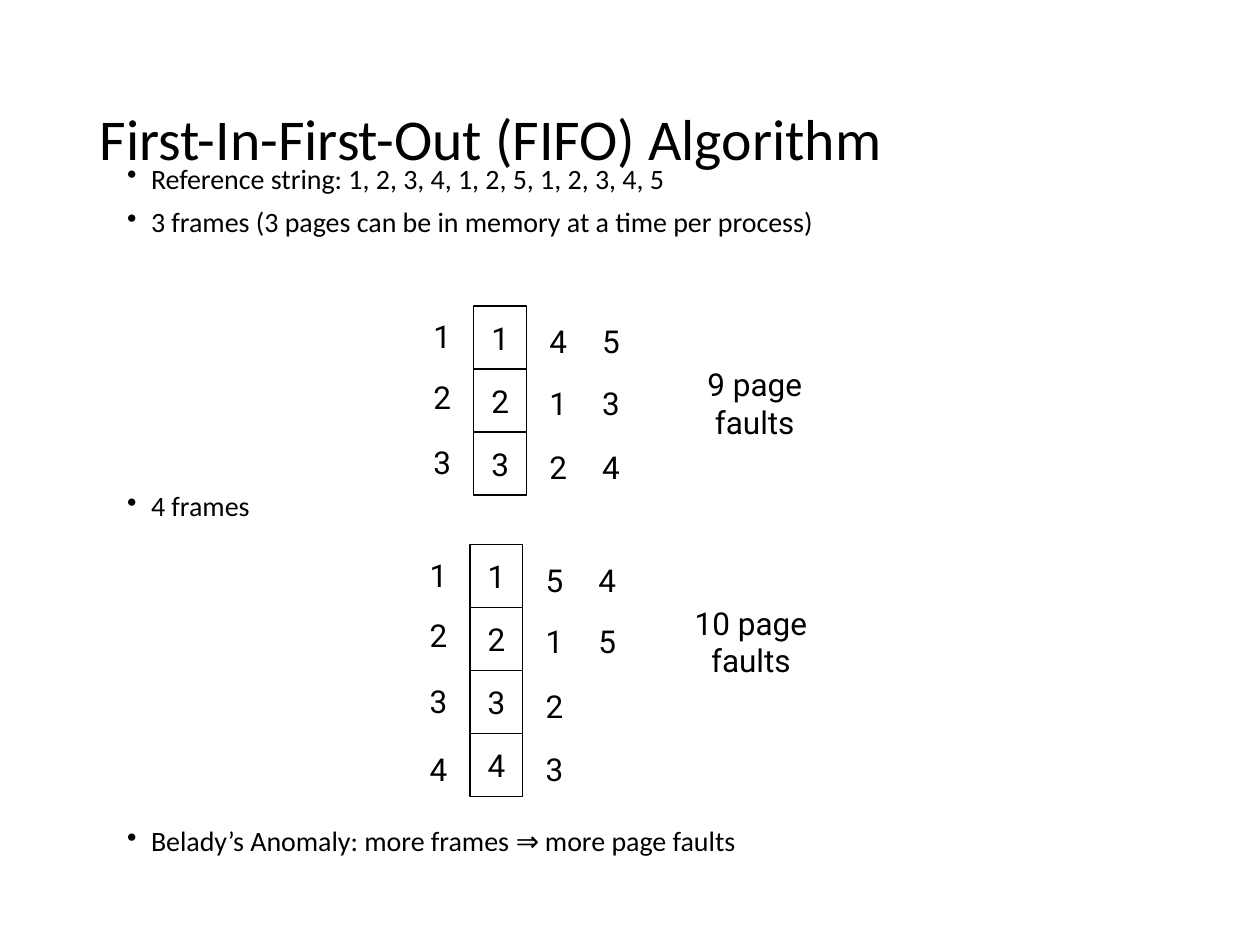
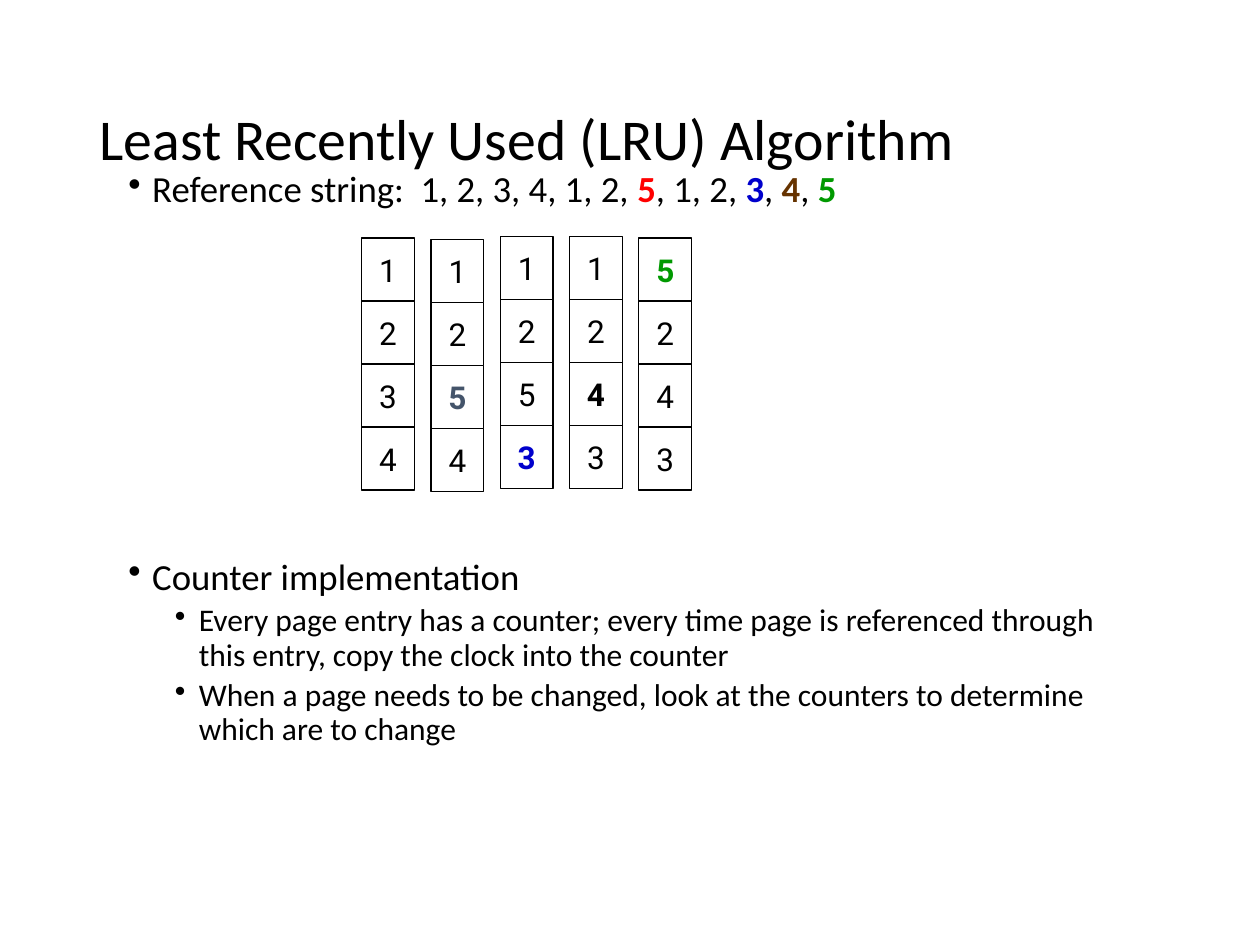
from dataclasses import dataclass

from lxml import etree
from pptx import Presentation
from pptx.dml.color import RGBColor
from pptx.enum.shapes import MSO_SHAPE
from pptx.enum.text import MSO_ANCHOR, PP_ALIGN
from pptx.oxml.ns import qn
from pptx.util import Inches, Pt

RECTANGLE = MSO_SHAPE.RECTANGLE
MIDDLE, TOP = MSO_ANCHOR.MIDDLE, MSO_ANCHOR.TOP
LEFT, CENTER = PP_ALIGN.LEFT, PP_ALIGN.CENTER


@dataclass(frozen=True)
class Theme:
    text_font: str = "Calibri"
    figure_font: str = "Roboto"
    black: str = "000000"
    white: str = "FFFFFF"
    red: str = "FF0000"
    blue: str = "0000CC"
    brown: str = "663300"
    green: str = "009900"
    slate: str = "44546A"
    title_size: float = 33
    large_size: float = 21
    medium_size: float = 18
    small_size: float = 16
    line_spacing: float = 0.9


THEME = Theme()

# ---- Content: a tuple (text, colour) is a bold span ----
# Bullets: level, size, space before in points, spans
FIFO_TITLE = "First-In-First-Out (FIFO) Algorithm"
FIFO_BULLETS = [
    (0, THEME.small_size, 0, ["Reference string: 1, 2, 3, 4, 1, 2, 5, 1, 2, 3, 4, 5"]),
    (0, THEME.small_size, 7.5, ["3 frames (3 pages can be in memory at a time per process)"]),
    (0, THEME.small_size, 145.3, ["4 frames"]),
    (0, THEME.small_size, 173.8, ["Belady’s Anomaly: more frames ⇒ more page faults"]),
]
FIFO_FIGURES = [
    {"at": (3.76, 2.43), "frames": "123", "later": ["412", "534"],
     "result": "9 page faults", "result_width": 1.63},
    {"at": (3.73, 4.32), "frames": "1234", "later": ["5123", "45"],
     "result": "10 page faults", "result_width": 1.77},
]

LRU_TITLE = "Least Recently Used (LRU) Algorithm"
LRU_BULLETS = [
    (0, THEME.large_size, 0, [
        "Reference string:  1, 2, 3, 4, 1, 2, ", ("5", THEME.red), ", 1, 2, ",
        ("3", THEME.blue), ", ", ("4", THEME.brown), ", ", ("5", THEME.green)]),
    (0, THEME.large_size, 198.6, ["Counter implementation"]),
    (1, THEME.medium_size, 3.8, [
        "Every page entry has a counter; every time page is referenced through "
        "this entry, copy the clock into the counter"]),
    (1, THEME.medium_size, 3.8, [
        "When a page needs to be changed, look at the counters to determine "
        "which are to change"]),
]
# Top of each column and its frames
LRU_COLUMNS = [
    (1.89, ["1", "2", "3", "4"]),
    (1.90, ["1", "2", ("5", THEME.slate), "4"]),
    (1.88, ["1", "2", "5", ("3", THEME.blue)]),
    (1.88, ["1", "2", ("4", THEME.black), "3"]),
    (1.89, [("5", THEME.green), "2", "4", "3"]),
]

# ---- Geometry in inches ----
CELL_WIDTH, CELL_HEIGHT = 0.42, 0.5
LABEL_WIDTH, LABEL_HEIGHT = 0.34, 0.4
BEFORE_OFFSETS = [0.04, 0.52, 1.04, 1.58]
AFTER_OFFSETS = [0.08, 0.57, 1.08, 1.58]
BEFORE_SHIFT, AFTER_SHIFT = -0.42, 0.5
RESULT_CENTER = 2.23
LRU_LEFT, LRU_PITCH = 2.87, 0.55
BULLET_INDENTS = [0.19, 0.56]
HANGING = 0.19


# ---- Text helpers ----
def write_spans(para, spans, font, size):
    for content in spans:
        text, color = content if isinstance(content, tuple) else (content, THEME.black)
        span = para.add_run()
        span.text = text
        span.font.name = font
        span.font.size = Pt(size)
        span.font.bold = isinstance(content, tuple)
        span.font.color.rgb = RGBColor.from_string(color)


def write_figure_text(shape, content):
    frame = shape.text_frame
    frame.word_wrap = False
    frame.vertical_anchor = MIDDLE
    para = frame.paragraphs[0]
    para.alignment = CENTER
    write_spans(para, [content], THEME.figure_font, THEME.medium_size)


def add_bullets(page, at, bullets):
    box = page.shapes.add_textbox(*map(Inches, at))
    frame = box.text_frame
    frame.word_wrap = True
    frame.vertical_anchor = TOP
    for index, (level, size, space, spans) in enumerate(bullets):
        para = frame.add_paragraph() if index else frame.paragraphs[0]
        properties = para._p.get_or_add_pPr()
        properties.set("marL", str(Inches(BULLET_INDENTS[level])))
        properties.set("indent", str(-Inches(HANGING)))
        etree.SubElement(properties, qn("a:buChar")).set("char", "•")
        para.level = level
        para.line_spacing = THEME.line_spacing
        para.space_before = Pt(space)
        write_spans(para, spans, THEME.text_font, size)


def add_page(deck, title):
    page = deck.slides.add_slide(deck.slide_layouts[5])
    holder = page.shapes.title
    holder.left, holder.top = Inches(0.69), Inches(0.4)
    holder.width, holder.height = Inches(8.62), Inches(1.45)
    holder.text_frame.vertical_anchor = MIDDLE
    para = holder.text_frame.paragraphs[0]
    para.alignment = LEFT
    para.line_spacing = THEME.line_spacing
    write_spans(para, [title], THEME.text_font, THEME.title_size)
    return page


# ---- Figure helpers ----
def add_frame_column(shapes, left, top, contents):
    for row, content in enumerate(contents):
        cell = shapes.add_shape(
            RECTANGLE, Inches(left), Inches(top + row * CELL_HEIGHT),
            Inches(CELL_WIDTH), Inches(CELL_HEIGHT))
        cell.shadow.inherit = False
        cell.fill.solid()
        cell.fill.fore_color.rgb = RGBColor.from_string(THEME.white)
        cell.line.color.rgb = RGBColor.from_string(THEME.black)
        cell.line.width = Pt(0.75)
        write_figure_text(cell, content)


def add_label(shapes, left, top, text, width=LABEL_WIDTH):
    label = shapes.add_textbox(
        Inches(left), Inches(top), Inches(width), Inches(LABEL_HEIGHT))
    write_figure_text(label, text)
    return label


def add_fifo_figure(page, figure):
    left, top = figure["at"]
    shapes = page.shapes.add_group_shape().shapes
    add_frame_column(shapes, left, top, figure["frames"])
    for text, offset in zip(figure["frames"], BEFORE_OFFSETS):
        add_label(shapes, left + BEFORE_SHIFT, top + offset, text)
    for column, contents in enumerate(figure["later"]):
        label_left = left + AFTER_SHIFT + column * CELL_WIDTH
        for text, offset in zip(contents, AFTER_OFFSETS):
            add_label(shapes, label_left, top + offset, text)

    # Result, kept narrow enough to break into two lines
    width = figure["result_width"]
    result = add_label(shapes, left + RESULT_CENTER - width / 2,
                       top + AFTER_OFFSETS[1], figure["result"], width)
    frame = result.text_frame
    frame.word_wrap = True
    frame.margin_left = frame.margin_right = Inches(0.3)


# ---- Slides ----
def main():
    deck = Presentation()
    deck.slide_width, deck.slide_height = Inches(10), Inches(7.5)

    page = add_page(deck, FIFO_TITLE)
    add_bullets(page, (0.91, 1.26, 7.69, 6.2), FIFO_BULLETS)
    for figure in FIFO_FIGURES:
        add_fifo_figure(page, figure)

    page = add_page(deck, LRU_TITLE)
    add_bullets(page, (0.92, 1.31, 8.04, 4.9), LRU_BULLETS)
    for column, (top, contents) in enumerate(LRU_COLUMNS):
        add_frame_column(page.shapes, LRU_LEFT + column * LRU_PITCH, top, contents)

    deck.save("out.pptx")


if __name__ == "__main__":
    main()
